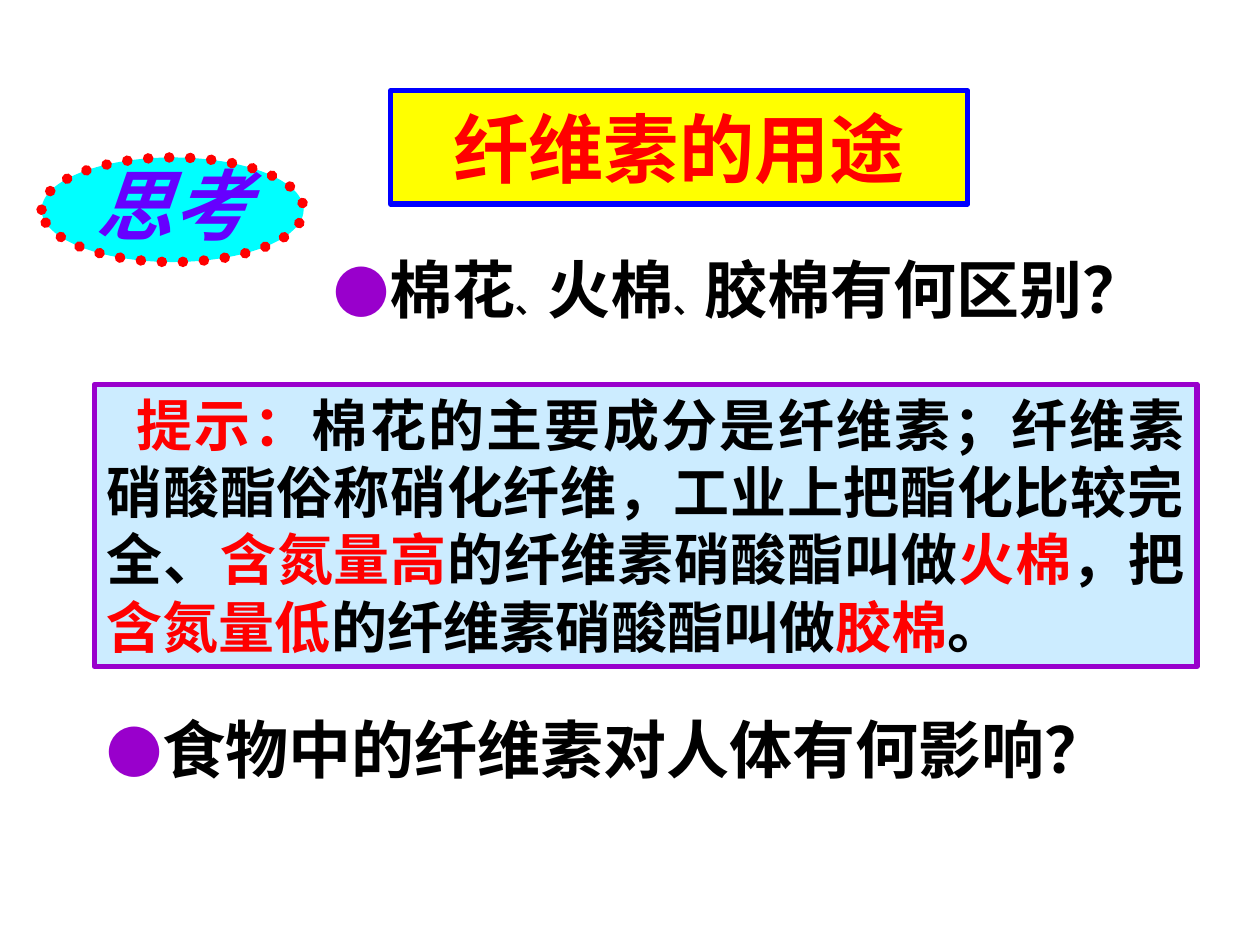
from lxml import etree
from pptx import Presentation
from pptx.dml.color import RGBColor
from pptx.enum.dml import MSO_LINE
from pptx.enum.shapes import MSO_SHAPE
from pptx.enum.text import MSO_ANCHOR, MSO_AUTO_SIZE, PP_ALIGN
from pptx.oxml.ns import qn
from pptx.util import Pt

RECT, OVAL = MSO_SHAPE.RECTANGLE, MSO_SHAPE.OVAL
DOTS = MSO_LINE.ROUND_DOT
MIDDLE, TOP = MSO_ANCHOR.MIDDLE, MSO_ANCHOR.TOP
LEFT, CENTER, JUSTIFY = PP_ALIGN.LEFT, PP_ALIGN.CENTER, PP_ALIGN.JUSTIFY
FIXED, GROW = MSO_AUTO_SIZE.NONE, MSO_AUTO_SIZE.SHAPE_TO_FIT_TEXT

LATIN, ASIAN = "Times New Roman", "Noto Sans CJK SC"
RED, BLACK, PURPLE = "FF0000", "000000", "9900CC"
BULLET = ("●", 32, PURPLE, False)


def color(code):
    return RGBColor.from_string(code)


def paint(shape, fill, edge, width):
    shape.fill.solid()
    shape.fill.fore_color.rgb = color(fill)
    shape.line.color.rgb = color(edge)
    shape.line.width = Pt(width)
    shape.shadow.inherit = False


def write(shape, runs, align, anchor=TOP, fit=FIXED, lead=1.0, italic=False):
    """Fill a shape with one paragraph of (text, size, color, bold) runs."""
    frame = shape.text_frame
    frame.word_wrap = True
    frame.auto_size = fit
    frame.vertical_anchor = anchor
    frame.margin_left = frame.margin_right = Pt(7.2)
    frame.margin_top = frame.margin_bottom = Pt(3.6)
    para = frame.paragraphs[0]
    para.alignment = align
    para.line_spacing = lead
    para.space_before = Pt(0)
    for text, size, code, bold in runs:
        run = para.add_run()
        run.text = text
        font = run.font
        font.name, font.size = LATIN, Pt(size)
        font.bold, font.italic = bold, italic
        font.color.rgb = color(code)
        # East Asian font follows the Latin one
        props = run._r.get_or_add_rPr()
        latin = props.find(qn("a:latin"))
        asian = etree.Element(qn("a:ea"), typeface=ASIAN)
        latin.addnext(asian)
    return para


def add_title(slide, box):
    title = slide.shapes.title
    title.left, title.top, title.width, title.height = map(Pt, box)
    paint(title, "FFFF00", "0000FF", 3)
    write(title, [("纤维素的用途", 43, RED, True)], CENTER, MIDDLE)


def add_badge(slide, box):
    badge = slide.shapes.add_shape(OVAL, *map(Pt, box))
    paint(badge, "00FFFF", RED, 6)
    badge.line.dash_style = DOTS
    badge.element.spPr.find(qn("a:ln")).set("cap", "rnd")
    write(badge, [("思考", 44, "6600FF", True)], CENTER, MIDDLE,
          lead=0.9, italic=True)


def add_ask(slide, box, parts, align, lead=1.0):
    ask = slide.shapes.add_textbox(*map(Pt, box))
    runs = [(text, size, BLACK, True) for text, size in parts]
    write(ask, [BULLET] + runs, align, fit=GROW, lead=lead)


def add_hint(slide, box, parts):
    hint = slide.shapes.add_shape(RECT, *map(Pt, box))
    paint(hint, "CCECFF", PURPLE, 3)
    runs = [(text, 32, code, True) for text, code in parts]
    para = write(hint, runs, JUSTIFY, fit=GROW)
    para._p.get_or_add_pPr().set("indent", str(Pt(17)))


def main():
    deck = Presentation()
    deck.slide_width, deck.slide_height = Pt(720), Pt(540)
    slide = deck.slides.add_slide(deck.slide_layouts[5])

    # Heading
    add_title(slide, (223.2, 51.84, 329.76, 64.8))

    # Answer panel, key words in red
    add_hint(slide, (54, 219.6, 630, 161.28), [
        ("提示：", RED),
        ("棉花的主要成分是纤维素；纤维素硝酸酯俗称硝化纤维，"
         "工业上把酯化比较完全、", BLACK),
        ("含氮量高", RED),
        ("的纤维素硝酸酯叫做", BLACK),
        ("火棉", RED),
        ("，把", BLACK),
        ("含氮量低", RED),
        ("的纤维素硝酸酯叫做", BLACK),
        ("胶棉", RED),
        ("。", BLACK),
    ])

    # Questions and their badge
    add_ask(slide, (54, 414, 648, 37.44),
            [("食物中的纤维素对人体有何影响？", 36)], LEFT, 0.7)
    add_badge(slide, (23.76, 90, 149.76, 59.76))
    add_ask(slide, (167.04, 139.68, 511.2, 50.4),
            [("棉花", 36), ("、", 18), ("火棉", 36), ("、", 18),
             ("胶棉有何区别？", 36)], CENTER)

    deck.save("out.pptx")


if __name__ == "__main__":
    main()
